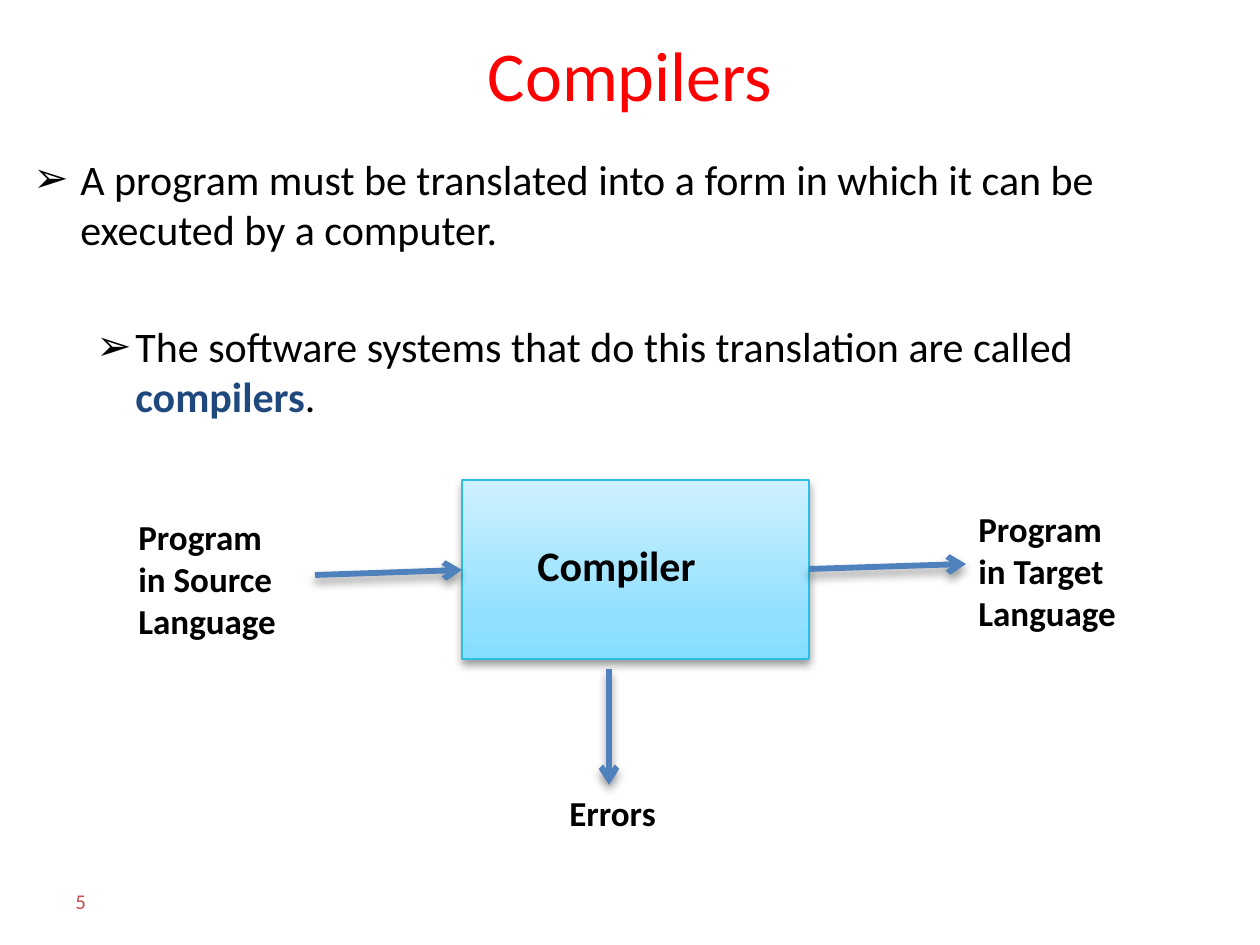
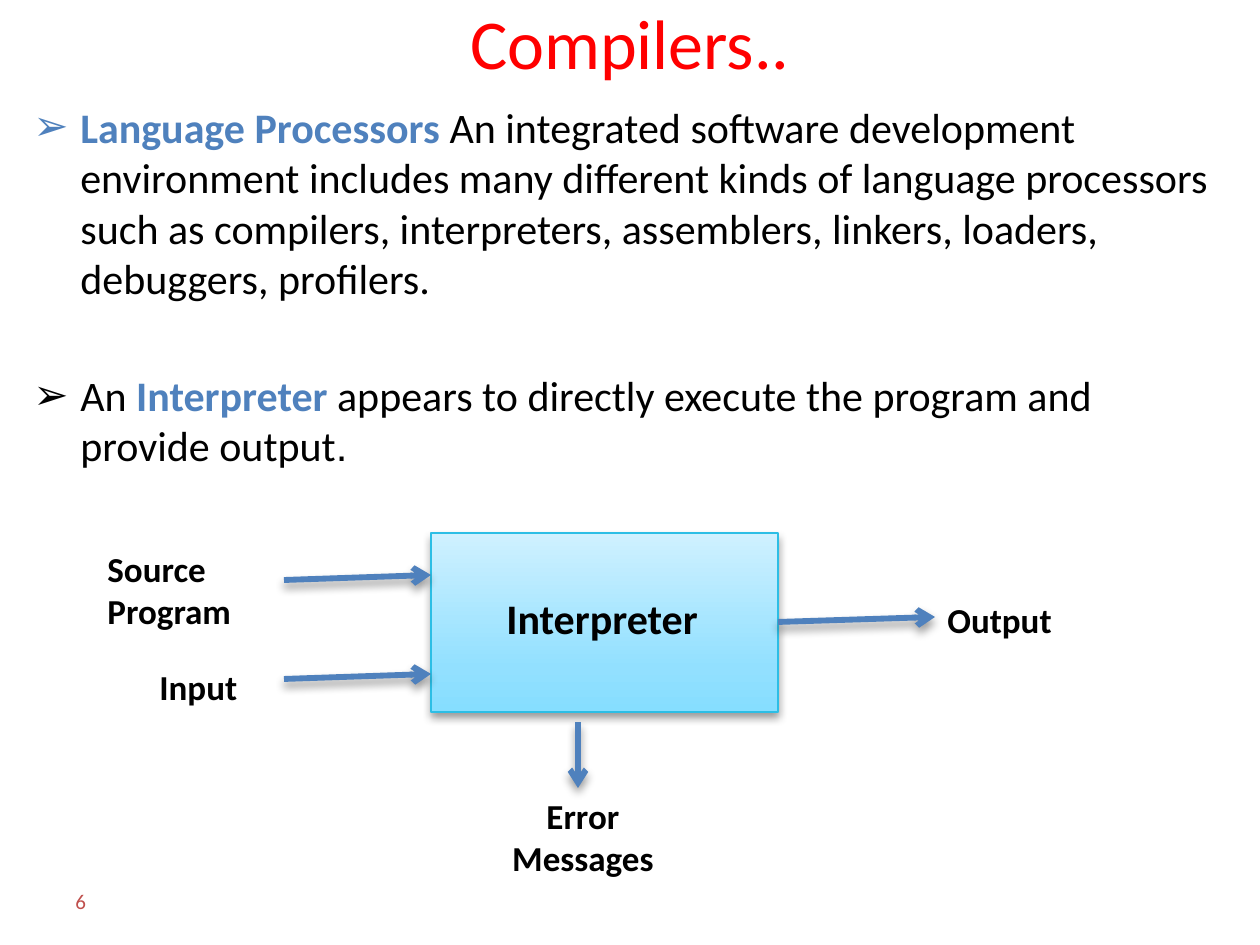
import lxml.etree
import pptx
import pptx.dml.color
import pptx.enum.shapes
import pptx.enum.text
import pptx.oxml
import pptx.oxml.ns
import pptx.util

PX = 914400 / 126
FONT = "Calibri"
COLORS = {
    "title": "FF0000", "text": "000000", "number": "C0504D",
    "term": "1F497D", "accent": "4F81BD", "box_line": "2CBEE5",
    "shadow": "000000",
}
BOX_GRADIENT = [(0, "86DEFF"), (25, "92E0FF"), (100, "CFF1FF")]
BOX_SIZE = (347, 179)
INDENTS = [(47, 47), (102, 39)]  # text margin and hanging bullet, by level
ALIGN = pptx.enum.text.PP_ALIGN
ANCHOR = pptx.enum.text.MSO_ANCHOR

# Content: a paragraph is (level, spans), a span is (text, format)
SLIDES = [
    {
        "title": "Compilers", "title_area": (63, 21, 1134, 105), "number": "5",
        "body_top": 147,
        "body": [
            (0, [("A program must be translated into a form in which it can be "
                  "executed by a computer.", {})]),
            (1, [("The software systems that do this translation are called ", {}),
                 ("compilers", {"color": "term", "bold": True}),
                 (".", {})]),
        ],
        "box": (462, 480), "box_text": "Compiler",
        "input_heights": [90], "error_length": 116,
        "labels": [
            ("Program in Source Language", (126, 509, 178, 140), ALIGN.LEFT),
            ("Program in Target Language", (966, 501, 178, 140), ALIGN.LEFT),
            ("Errors", (557, 785, 178, 55), ALIGN.LEFT),
        ],
    },
    {
        "title": "Compilers..", "title_area": (63, 0, 1134, 84), "number": "6",
        "body_top": 95,
        "body": [
            (0, [("Language Processors", {"color": "accent", "bold": True}),
                 (" An integrated software development environment includes many "
                  "different kinds of language processors such as compilers, "
                  "interpreters, assemblers, linkers, loaders, debuggers, "
                  "profilers.", {})]),
            (0, [("An ", {}),
                 ("Interpreter", {"color": "accent", "bold": True}),
                 (" appears to directly execute the program and provide output", {}),
                 (".", {"font": "Arial"})]),
        ],
        "box": (431, 533), "box_text": "Interpreter",
        "input_heights": [42, 141], "error_length": 66,
        "labels": [
            ("Source Program", (95, 541, 158, 97), ALIGN.LEFT),
            ("Input", (147, 659, 126, 55), ALIGN.LEFT),
            ("Output", (935, 592, 178, 55), ALIGN.LEFT),
            ("Error Messages", (494, 788, 178, 97), ALIGN.CENTER),
        ],
    },
]


def emu(*lengths):
    return [pptx.util.Emu(round(length * PX)) for length in lengths]


def rgb(name):
    return pptx.dml.color.RGBColor.from_string(COLORS[name])


def add_xml(parent, xml):
    namespace = pptx.oxml.ns.nsdecls("a")
    tag, rest = xml[:xml.index(" ")], xml[xml.index(" "):]
    parent.append(pptx.oxml.parse_xml(f"{tag} {namespace}{rest}"))


def add_span(para, text, size=24, color="text", bold=False, font=FONT):
    span = para.add_run()
    span.text = text
    span.font.size = pptx.util.Pt(size)
    span.font.name = font
    span.font.bold = bold
    span.font.color.rgb = rgb(color)


def add_text(page, text, area, align=ALIGN.LEFT, anchor=ANCHOR.TOP, **span_format):
    box = page.shapes.add_textbox(*emu(*area))
    frame = box.text_frame
    frame.word_wrap = True
    frame.vertical_anchor = anchor
    para = frame.paragraphs[0]
    para.alignment = align
    add_span(para, text, **span_format)


def add_shadow(shape):
    add_xml(shape._element.spPr,
            '<a:effectLst ><a:outerShdw blurRad="66040" dist="38100" dir="5400000" '
            f'rotWithShape="0"><a:srgbClr val="{COLORS["shadow"]}">'
            '<a:alpha val="40000"/></a:srgbClr></a:outerShdw></a:effectLst>')


def add_title(page, text, area):
    title = page.shapes.title
    title.left, title.top, title.width, title.height = emu(*area)
    frame = title.text_frame
    frame.auto_size = pptx.enum.text.MSO_AUTO_SIZE.NONE
    frame.vertical_anchor = ANCHOR.MIDDLE
    frame.paragraphs[0].alignment = ALIGN.CENTER
    add_span(frame.paragraphs[0], text, size=40, color="title")


def add_body(page, paragraphs, top):
    frame = page.shapes.add_textbox(*emu(21, top, 1218, 872 - top)).text_frame
    frame.word_wrap = True
    for index, (level, spans) in enumerate(paragraphs):
        para = frame.add_paragraph() if index else frame.paragraphs[0]
        para.level = level
        if index:
            para.space_before = pptx.util.Pt(38)
        margin, hanging = emu(*INDENTS[level])
        properties = para._p.get_or_add_pPr()
        properties.set("marL", str(margin))
        properties.set("indent", str(-hanging))
        add_xml(properties, '<a:buFont typeface="Arial"/>')
        add_xml(properties, '<a:buChar char="➢"/>')
        for text, span_format in spans:
            add_span(para, text, **span_format)


def add_process_box(page, left, top):
    box = page.shapes.add_shape(pptx.enum.shapes.MSO_SHAPE.RECTANGLE,
                                *emu(left, top, *BOX_SIZE))
    box.fill.gradient()
    box.fill.gradient_angle = 90
    stops = box._element.spPr.find(".//" + pptx.oxml.ns.qn("a:gsLst"))
    for stop in list(stops):
        stops.remove(stop)
    for percent, color in BOX_GRADIENT:
        add_xml(stops, f'<a:gs pos="{percent * 1000}"><a:srgbClr val="{color}"/></a:gs>')
    box.line.color.rgb = rgb("box_line")
    box.line.width = pptx.util.Pt(0.75)
    add_shadow(box)


def add_arrow(page, start_x, start_y, run, drop):
    arrow = page.shapes.add_connector(
        pptx.enum.shapes.MSO_CONNECTOR.STRAIGHT,
        *emu(start_x, start_y, start_x + run, start_y + drop))
    arrow.line.color.rgb = rgb("accent")
    arrow.line.width = pptx.util.Pt(3.35)
    add_xml(arrow.line._get_or_add_ln(), '<a:tailEnd type="arrow"/>')
    add_shadow(arrow)


def add_diagram(page, content):
    left, top = content["box"]
    width, height = BOX_SIZE
    add_process_box(page, left, top)
    add_text(page, content["box_text"], (left + 63, top + 53, 242, 63), bold=True)
    # Inputs end at the left side, the result leaves at the right, errors below
    for input_height in content["input_heights"]:
        add_arrow(page, left - 147, top + input_height + 5, 147, -5)
    add_arrow(page, left + width, top + 89, 157, -5)
    add_arrow(page, left + 147, top + height + 10, 0, content["error_length"])
    for text, area, align in content["labels"]:
        add_text(page, text, area, align=align, size=20, bold=True)


def main():
    deck = pptx.Presentation()
    deck.slide_width, deck.slide_height = emu(1260, 945)
    for content in SLIDES:
        page = deck.slides.add_slide(deck.slide_layouts[5])
        add_title(page, content["title"], content["title_area"])
        add_body(page, content["body"], content["body_top"])
        add_diagram(page, content)
        add_text(page, content["number"], (63, 876, 294, 50),
                 anchor=ANCHOR.MIDDLE, size=12, color="number")
    deck.save("out.pptx")


if __name__ == "__main__":
    main()
